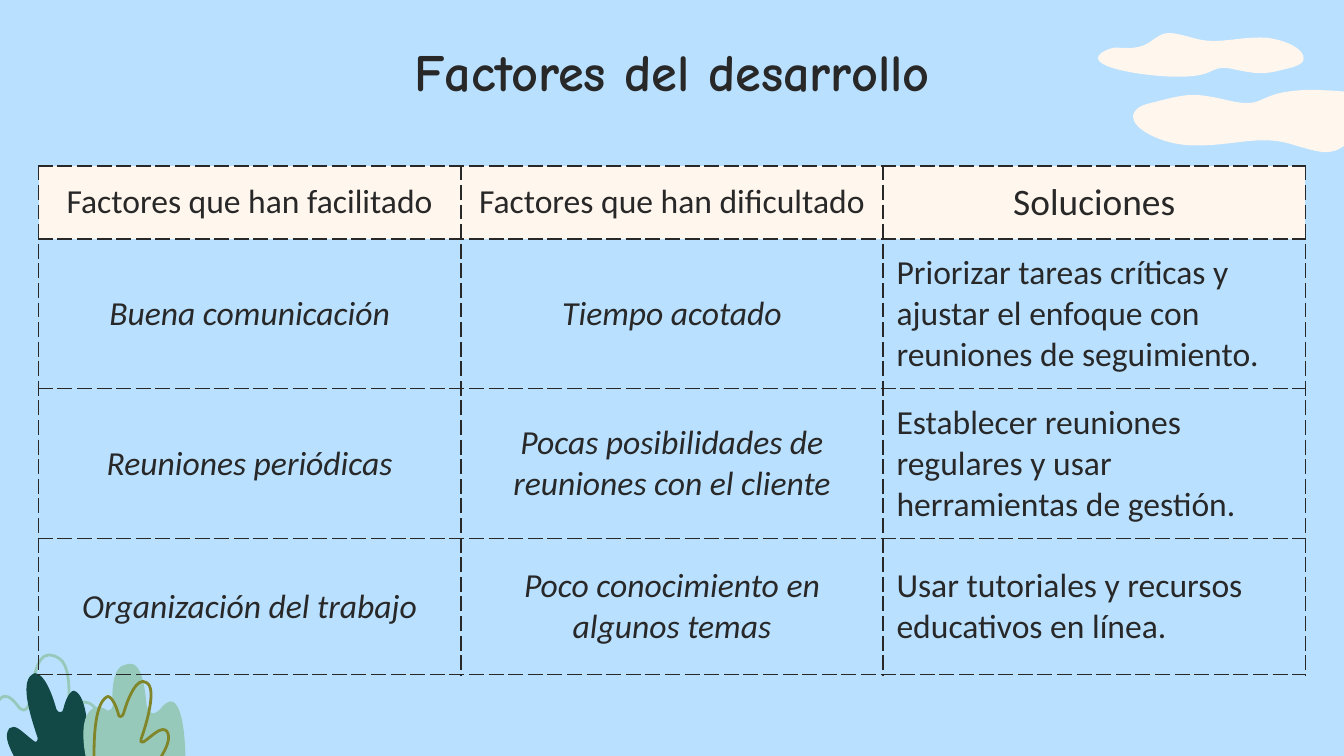
from lxml import etree
from pptx import Presentation
from pptx import util as u
from pptx.dml.color import RGBColor
from pptx.enum import text
from pptx.oxml import ns

SKY = RGBColor(0xB9, 0xE0, 0xFF)
CREAM = RGBColor(0xFF, 0xF6, 0xED)
INK = RGBColor(0x28, 0x28, 0x28)
MINT = RGBColor(0x97, 0xC9, 0xBA)
PINE = RGBColor(0x12, 0x49, 0x47)
OLIVE = RGBColor(0x81, 0x85, 0x29)

GRID = u.Cm(2.54) // 100
MARGIN = u.Cm(2.54) // 10

MINT_STEM = [
    (73, 564), (73, 564, 79, 536, 70, 526), (65, 521, 61, 522, 57, 525),
    (55, 527, 51, 525, 51, 522), (52, 511, 51, 494, 44, 490),
    (33, 483, 26, 489, 23, 520), (23, 520, 20, 535, 13, 525),
    (-8, 497, -8, 564, -8, 564)]
PINE_LEAF = [
    (26, 501), (25, 501, 25, 502, 24, 502), (14, 508, 24, 537, 28, 549),
    (28, 550, 28, 552, 27, 552), (26, 552, 26, 552, 26, 552),
    (20, 548, 14, 541, 10, 541), (9, 541, 8, 541, 7, 542),
    (2, 548, 8, 558, 11, 564), (66, 564), (66, 553, 66, 522, 57, 515),
    (56, 514, 56, 514, 55, 514), (54, 514, 53, 515, 53, 515),
    (51, 517, 49, 520, 47, 528), (47, 529, 46, 530, 45, 530),
    (44, 530, 43, 530, 42, 528), (39, 517, 33, 501, 26, 501)]
MINT_LEAF = [
    (97, 494), (103, 494, 107, 502, 109, 524), (109, 524, 110, 531, 114, 531),
    (115, 531, 117, 530, 119, 528), (122, 524, 125, 522, 127, 522),
    (138, 522, 138, 564, 138, 564), (64, 564), (64, 564, 58, 538, 67, 529),
    (69, 527, 71, 526, 73, 526), (75, 526, 77, 527, 79, 528),
    (79, 528, 80, 529, 80, 529), (82, 529, 84, 527, 84, 525),
    (83, 515, 84, 500, 90, 496), (92, 495, 95, 494, 97, 494)]
OLIVE_STEM = [
    (120, 563), (123, 558, 128, 549, 124, 544), (120, 540, 113, 548, 107, 552),
    (105, 553, 104, 551, 105, 550), (109, 539, 117, 512, 109, 508),
    (102, 503, 95, 520, 92, 531), (91, 534, 88, 534, 88, 531),
    (86, 524, 84, 521, 82, 519), (81, 518, 80, 518, 79, 519),
    (70, 525, 70, 553, 70, 563)]
LOW_CLOUD = [
    (843, 86), (842, 95, 861, 106, 883, 108), (916, 110, 936, 99, 963, 108),
    (990, 116, 991, 115, 1007, 104), (1023, 93, 1043, 99, 1048, 98),
    (1058, 94, 1062, 90, 1062, 87), (1064, 74, 1000, 66, 970, 67),
    (933, 69, 943, 81, 915, 75), (886, 68, 883, 70, 855, 77),
    (847, 79, 844, 82, 843, 86)]
HIGH_CLOUD = [
    (970, 44), (971, 37, 958, 30, 942, 28), (920, 27, 906, 34, 887, 28),
    (868, 23, 867, 23, 856, 31), (845, 39, 831, 34, 827, 36),
    (820, 38, 817, 41, 817, 43), (816, 52, 861, 58, 882, 57),
    (907, 56, 900, 47, 920, 52), (940, 56, 942, 55, 962, 50),
    (968, 48, 970, 46, 970, 44)]

HEADINGS = [("Factores que han facilitado", 18),
            ("Factores que han dificultado", 18),
            ("Soluciones", 20)]
FACTORS = [
    ("Buena comunicación", "Tiempo acotado",
     "Priorizar tareas críticas y ajustar el enfoque con reuniones de seguimiento."),
    ("Reuniones periódicas", "Pocas posibilidades de reuniones con el cliente",
     "Establecer reuniones regulares y usar herramientas de gestión."),
    ("Organización del trabajo", "Poco conocimiento en algunos temas",
     "Usar tutoriales y recursos educativos en línea.")]


def bend_segments(shape, outline):
    segments = list(shape._element.iter(ns.qn("a:lnTo")))
    for segment, piece in zip(segments, outline[1:]):
        if len(piece) == 2:
            continue
        curve = etree.Element(ns.qn("a:cubicBezTo"))
        for x, y in zip(piece[::2], piece[1::2]):
            etree.SubElement(curve, ns.qn("a:pt"), x=str(x * GRID - shape.left),
                             y=str(y * GRID - shape.top))
        segment.getparent().replace(segment, curve)


def add_curve(page, outline, color, filled):
    points = [(piece[-2] * GRID, piece[-1] * GRID) for piece in outline]
    builder = page.shapes.build_freeform(*points[0], scale=1.0)
    builder.add_line_segments(points[1:], close=filled)
    shape = builder.convert_to_shape()
    bend_segments(shape, outline)
    shape.shadow.inherit = False
    if filled:
        shape.fill.solid()
        shape.fill.fore_color.rgb = color
        shape.line.fill.background()
    else:
        shape.fill.background()
        shape.line.color.rgb = color
        shape.line.width = u.Pt(1.5)


def write(frame, content, font, size, align, bold=False, italic=False):
    frame.text = content
    para = frame.paragraphs[0]
    para.alignment = align
    span = para.runs[0].font
    span.name, span.size = font, u.Pt(size)
    span.bold, span.italic = bold, italic
    span.color.rgb = INK


def set_margins(holder):
    holder.margin_left = holder.margin_right = MARGIN
    holder.margin_top = holder.margin_bottom = MARGIN


def set_borders(cell):
    properties = cell._tc.get_or_add_tcPr()
    for index, side in enumerate(("lnL", "lnR", "lnT", "lnB")):
        border = etree.Element(ns.qn(f"a:{side}"), w=str(u.Pt(1)))
        fill = etree.SubElement(border, ns.qn("a:solidFill"))
        etree.SubElement(fill, ns.qn("a:srgbClr"), val=str(INK))
        etree.SubElement(border, ns.qn("a:prstDash"), val="lgDash")
        properties.insert(index, border)


def fill_cell(cell, content, size, align, italic=False, color=None):
    write(cell.text_frame, content, "Calibri", size, align, italic=italic)
    cell.vertical_anchor = text.MSO_ANCHOR.MIDDLE
    set_margins(cell)
    if color is None:
        cell.fill.background()
    else:
        cell.fill.solid()
        cell.fill.fore_color.rgb = color
    set_borders(cell)


def add_factor_table(page):
    heights = [u.Cm(1.36), u.Cm(2.79), u.Cm(2.79), u.Cm(2.57)]
    table = page.shapes.add_table(4, 3, u.Cm(0.73), u.Cm(3.14),
                                  u.Cm(23.94), sum(heights)).table
    table.first_row = table.horz_banding = False
    for row, height in zip(table.rows, heights):
        row.height = height
    for column, (heading, size) in enumerate(HEADINGS):
        fill_cell(table.cell(0, column), heading, size,
                  text.PP_ALIGN.CENTER, color=CREAM)
    for row, factors in enumerate(FACTORS, 1):
        for column, content in enumerate(factors):
            is_factor = column < 2
            align = text.PP_ALIGN.CENTER if is_factor else text.PP_ALIGN.LEFT
            fill_cell(table.cell(row, column), content, 18, align, italic=is_factor)


def add_title(page, content):
    box = page.shapes.add_textbox(u.Cm(5.7), u.Cm(0.48), u.Cm(14), u.Cm(1.6))
    frame = box.text_frame
    frame.word_wrap = True
    set_margins(frame)
    write(frame, content, "Comic Neue", 28, text.PP_ALIGN.CENTER, bold=True)


def main():
    deck = Presentation()
    deck.slide_width, deck.slide_height = u.Cm(25.4), u.Cm(14.29)
    page = deck.slides.add_slide(deck.slide_layouts[6])
    page.background.fill.solid()
    page.background.fill.fore_color.rgb = SKY

    add_curve(page, MINT_STEM, MINT, filled=False)
    add_curve(page, PINE_LEAF, PINE, filled=True)
    add_curve(page, MINT_LEAF, MINT, filled=True)
    add_curve(page, OLIVE_STEM, OLIVE, filled=False)
    for cloud in (LOW_CLOUD, HIGH_CLOUD):
        add_curve(page, cloud, CREAM, filled=True)
    add_factor_table(page)
    add_title(page, "Factores del desarrollo")
    deck.save("out.pptx")


if __name__ == "__main__":
    main()
